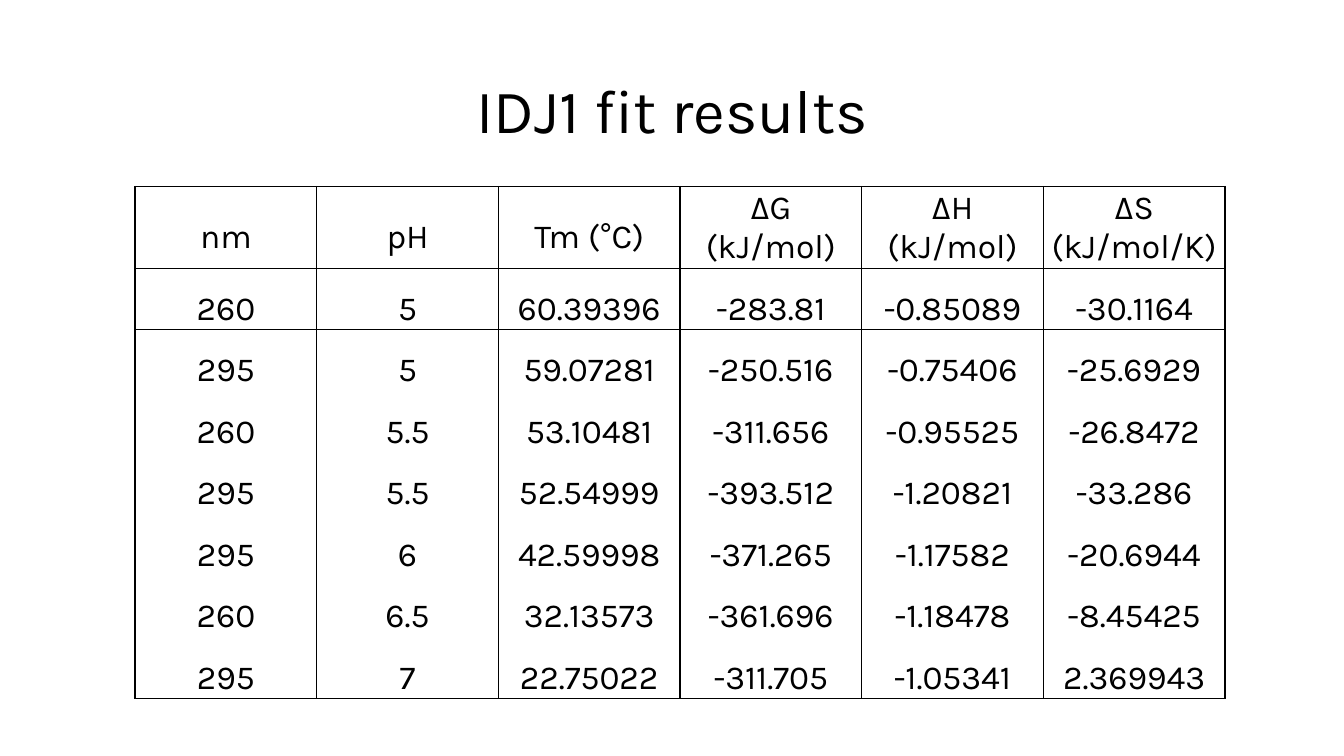
from lxml import etree
from pptx import Presentation
from pptx.dml.color import RGBColor
from pptx.enum.text import MSO_ANCHOR, PP_ALIGN
from pptx.oxml.ns import qn
from pptx.util import Inches, Pt

MIDDLE = MSO_ANCHOR.MIDDLE
CENTER = PP_ALIGN.CENTER

COLORS = {"ink": "000000"}
FONT = "Karla"
CELL_FORMAT = {
    "margin_left": Inches(0.01),
    "margin_right": Inches(0.01),
    "margin_top": Inches(0.01),
    "margin_bottom": 0,
    "vertical_anchor": MIDDLE,
}

HEADERS = ["nm", "pH", "Tm (°C)", "ΔG\n(kJ/mol)", "ΔH\n(kJ/mol)", "ΔS\n(kJ/mol/K)"]
FITS = [
    ["260", "5", "60.39396", "-283.81", "-0.85089", "-30.1164"],
    ["295", "5", "59.07281", "-250.516", "-0.75406", "-25.6929"],
    ["260", "5.5", "53.10481", "-311.656", "-0.95525", "-26.8472"],
    ["295", "5.5", "52.54999", "-393.512", "-1.20821", "-33.286"],
    ["295", "6", "42.59998", "-371.265", "-1.17582", "-20.6944"],
    ["260", "6.5", "32.13573", "-361.696", "-1.18478", "-8.45425"],
    ["295", "7", "22.75022", "-311.705", "-1.05341", "2.369943"],
]


class SlideBuilder:
    def __init__(self, prs):
        self.width, self.height = prs.slide_width, prs.slide_height
        self.s = prs.slides.add_slide(prs.slide_layouts[6])

    def box(self, x, y, w, h):
        """Turn shares of the slide, in percent, into lengths."""
        sides = (self.width, self.height) * 2
        return [int(side * share / 100) for side, share in zip(sides, (x, y, w, h))]

    def add_lines(self, tf, text, size, spacing):
        for i, line in enumerate(text.split("\n")):
            p = tf.add_paragraph() if i else tf.paragraphs[0]
            p.alignment, p.line_spacing = CENTER, spacing
            r = p.add_run()
            r.text = line
            r.font.name, r.font.size = FONT, Pt(size)
            r.font.color.rgb = RGBColor.from_string(COLORS["ink"])

    def title(self, text, *place):
        tf = self.s.shapes.add_textbox(*self.box(*place)).text_frame
        tf.word_wrap, tf.vertical_anchor = True, MIDDLE
        self.add_lines(tf, text, 44, 0.9)

    def borders(self, cell, edges):
        """Draw the named edges (L, R, T, B) and clear the others."""
        tc_pr = cell._tc.get_or_add_tcPr()
        for edge in "LRTB":
            ln = etree.SubElement(tc_pr, qn(f"a:ln{edge}"), w=str(Pt(1)))
            if edge in edges:
                fill = etree.SubElement(ln, qn("a:solidFill"))
                etree.SubElement(fill, qn("a:srgbClr"), val=COLORS["ink"])
            else:
                etree.SubElement(ln, qn("a:noFill"))

    def table(self, rows, row_height, *place):
        x, y, w, h = self.box(*place)
        frame = self.s.shapes.add_table(len(rows), len(rows[0]), x, y, w, h)
        table = frame.table
        table.first_row = table.horz_banding = False
        ruled_below = {0, 1, len(rows) - 1}
        for i, values in enumerate(rows):
            table.rows[i].height = Inches(row_height)
            edges = "LR"
            edges += "T" if i == 0 or i - 1 in ruled_below else ""
            edges += "B" if i in ruled_below else ""
            for j, text in enumerate(values):
                cell = table.cell(i, j)
                for name, value in CELL_FORMAT.items():
                    setattr(cell, name, value)
                self.borders(cell, edges)
                cell.fill.background()
                self.add_lines(cell.text_frame, text, 24, 1.0 if "\n" in text else 1.5)
        frame.height = h


def main():
    prs = Presentation()
    prs.slide_width, prs.slide_height = Inches(13.33), Inches(7.5)
    slide = SlideBuilder(prs)
    slide.title("IDJ1 fit results", 6.9, 5.33, 86.27, 19.33)
    slide.table([HEADERS, *FITS], 0.41, 10.05, 24.67, 81.1, 57.47)
    prs.save("out.pptx")


if __name__ == "__main__":
    main()
